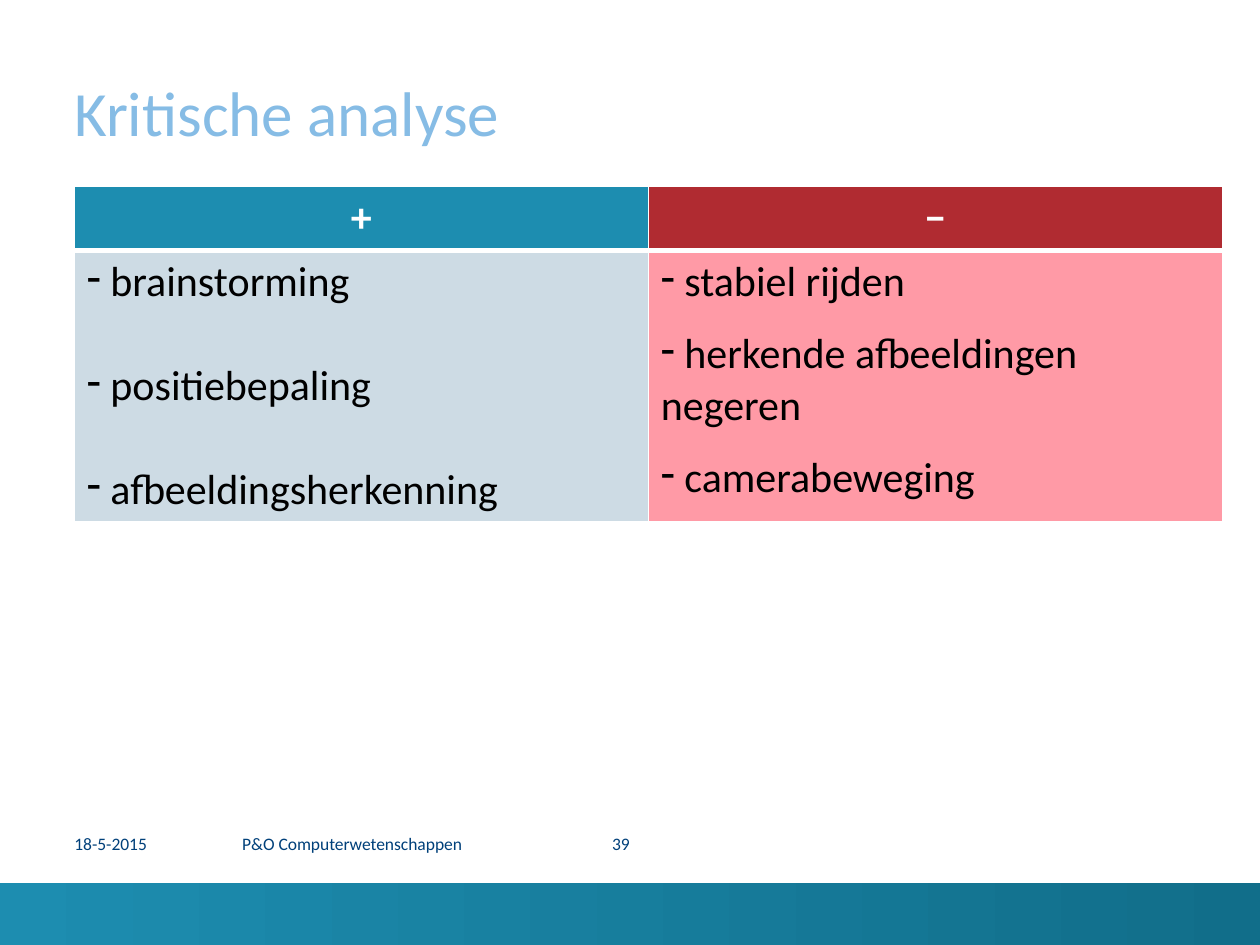
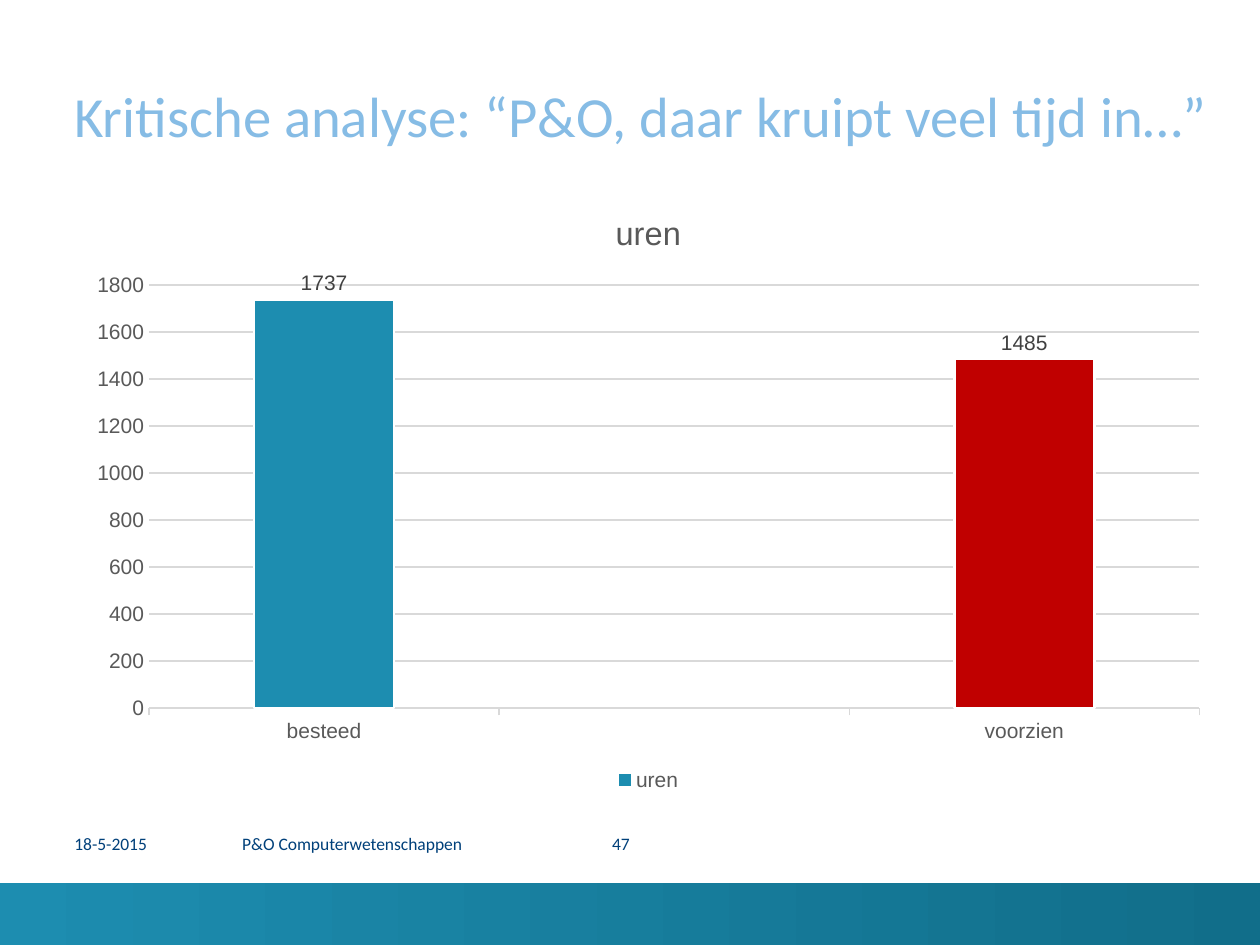
from lxml import etree
from pptx import Presentation
from pptx.chart.data import CategoryChartData
from pptx.dml.color import RGBColor
from pptx.enum import chart as ch, shapes, text
from pptx.oxml.ns import qn
from pptx.util import Pt

# Content
DATE, COURSE = "18-5-2015", "P&O Computerwetenschappen"
ANALYSIS = {"title": "Kritische analyse", "size": 36, "number": 39}
HOURS = {"title": "Kritische analyse: “P&O, daar kruipt veel tijd in…”",
         "size": 32.4, "number": 47}
PROS = ["brainstorming", "positiebepaling", "afbeeldingsherkenning"]
CONS = ["stabiel rijden", "herkende afbeeldingen negeren", "camerabeweging"]
SERIES = "uren"
CATEGORIES = ["besteed", "", "voorzien"]
VALUES = [1737, None, 1485]

# Style
WHITE = RGBColor(0xFF, 0xFF, 0xFF)
BLACK = RGBColor(0, 0, 0)
TEAL = RGBColor(0x1D, 0x8D, 0xB0)
DARK_TEAL = RGBColor(0x11, 0x6E, 0x8A)
SKY = RGBColor(0x86, 0xBC, 0xE5)
NAVY = RGBColor(0x00, 0x40, 0x7A)
BRICK = RGBColor(0xB0, 0x2B, 0x31)
PALE_BLUE = RGBColor(0xCD, 0xDB, 0xE4)
PINK = RGBColor(0xFF, 0x9A, 0xA6)
RED = RGBColor(0xC0, 0, 0)
GREY = RGBColor(0x59, 0x59, 0x59)
DARK_GREY = RGBColor(0x40, 0x40, 0x40)
LIGHT_GREY = RGBColor(0xD9, 0xD9, 0xD9)
BODY_FONT, CHART_FONT = "Calibri", "Arial"

# Columns: heading, its fill, items, their fill, space after each item
COLUMNS = [("+", TEAL, PROS, PALE_BLUE, 30), ("−", BRICK, CONS, PINK, 12)]

# Layout, in points
SLIDE_W, SLIDE_H = 720, 540
LEFT, WIDTH = 42.5, 656
TITLE_TOP, TITLE_H = 14.4, 70.6
CONTENT_TOP, CHART_H = 106.6, 348.5
HEAD_H, BODY_H = 35.5, 155
BAND_TOP = 504.7
FOOTER_TOP, FOOTER_H, FOOTER_GAP = 476, 22.3, 7.2
FOOTER_WIDTHS = [73.4, 156.2, 73.4]
FOOTER_ALIGNS = [text.PP_ALIGN.LEFT, text.PP_ALIGN.CENTER, text.PP_ALIGN.RIGHT]


def set_font(font, size, color, name=BODY_FONT, bold=False):
    font.size, font.name, font.bold = Pt(size), name, bold
    font.color.rgb = color


def plain_frame(sp, words):
    tf = sp.text_frame
    tf.margin_left = tf.margin_right = tf.margin_top = tf.margin_bottom = 0
    tf.word_wrap = True
    tf.auto_size = text.MSO_AUTO_SIZE.NONE
    tf.text = words
    return tf


def add_band(s):
    band = s.shapes.add_shape(shapes.MSO_SHAPE.RECTANGLE, 0, Pt(BAND_TOP),
                              Pt(SLIDE_W), Pt(SLIDE_H - BAND_TOP))
    band.shadow.inherit = False
    band.line.fill.background()
    band.fill.gradient()
    band.fill.gradient_angle = 0
    for stop, color in zip(band.fill.gradient_stops, (TEAL, DARK_TEAL)):
        stop.color.rgb = color


def add_footer(s, number):
    x = LEFT
    for words, width, align in zip((DATE, COURSE, str(number)), FOOTER_WIDTHS, FOOTER_ALIGNS):
        box = s.shapes.add_textbox(Pt(x), Pt(FOOTER_TOP), Pt(width), Pt(FOOTER_H))
        p = plain_frame(box, words).paragraphs[0]
        p.alignment = align
        set_font(p.font, 10, NAVY)
        x += width + FOOTER_GAP


def new_slide(prs, info):
    s = prs.slides.add_slide(prs.slide_layouts[5])
    add_band(s)
    title = s.shapes.title
    title.left, title.top = Pt(LEFT), Pt(TITLE_TOP)
    title.width, title.height = Pt(WIDTH), Pt(TITLE_H)
    tf = plain_frame(title, info["title"])
    tf.vertical_anchor = text.MSO_ANCHOR.BOTTOM
    p = tf.paragraphs[0]
    p.alignment = text.PP_ALIGN.LEFT
    set_font(p.font, info["size"], SKY)
    add_footer(s, info["number"])
    return s


def set_borders(cell, **widths):
    """Give the cell white borders; widths in points by side."""
    tc_pr = cell._tc.get_or_add_tcPr()
    for i, side in enumerate("LRTB"):
        ln = etree.Element(qn("a:ln" + side), w=str(Pt(widths.get(side, 1))))
        fill = etree.SubElement(ln, qn("a:solidFill"))
        etree.SubElement(fill, qn("a:srgbClr"), val=str(WHITE))
        tc_pr.insert(i, ln)


def fill_cell(cell, color, **widths):
    cell.fill.solid()
    cell.fill.fore_color.rgb = color
    set_borders(cell, **widths)


def add_dash(p):
    p_pr = p._p.get_or_add_pPr()
    p_pr.set("marL", "0")
    p_pr.set("indent", "0")
    etree.SubElement(p_pr, qn("a:buChar"), char="-")


def add_analysis_table(s):
    table = s.shapes.add_table(2, len(COLUMNS), Pt(LEFT), Pt(CONTENT_TOP),
                               Pt(WIDTH), Pt(HEAD_H + BODY_H)).table
    table.rows[0].height, table.rows[1].height = Pt(HEAD_H), Pt(BODY_H)
    for col, (heading, head_fill, items, body_fill, gap) in enumerate(COLUMNS):
        head, body = table.cell(0, col), table.cell(1, col)
        fill_cell(head, head_fill, B=3)
        fill_cell(body, body_fill, T=3)
        head.vertical_anchor = text.MSO_ANCHOR.MIDDLE
        head.text = heading
        p = head.text_frame.paragraphs[0]
        p.alignment = text.PP_ALIGN.CENTER
        set_font(p.font, 24, WHITE, bold=True)
        body.text = "\n".join(" " + item for item in items)
        for p in body.text_frame.paragraphs:
            add_dash(p)
            p.space_after = Pt(gap)
            set_font(p.font, 24, BLACK)


def add_hours_chart(s):
    data = CategoryChartData()
    data.categories = CATEGORIES
    data.add_series(SERIES, VALUES)
    chart = s.shapes.add_chart(ch.XL_CHART_TYPE.COLUMN_CLUSTERED, Pt(LEFT), Pt(CONTENT_TOP),
                               Pt(WIDTH), Pt(CHART_H), data).chart
    set_font(chart.font, 10, BLACK, CHART_FONT)

    # Title and legend
    chart.has_title = True
    chart.chart_title.include_in_layout = False
    tf = chart.chart_title.text_frame
    tf.text = SERIES
    set_font(tf.paragraphs[0].font, 18.6, GREY, CHART_FONT)
    chart.has_legend = True
    chart.legend.position = ch.XL_LEGEND_POSITION.BOTTOM
    chart.legend.include_in_layout = False
    set_font(chart.legend.font, 12, GREY, CHART_FONT)

    # Axes
    hours, kinds = chart.value_axis, chart.category_axis
    for axis in (hours, kinds):
        set_font(axis.tick_labels.font, 12, GREY, CHART_FONT)
    hours.minimum_scale, hours.maximum_scale, hours.major_unit = 0, 1800, 200
    hours.major_tick_mark = ch.XL_TICK_MARK.NONE
    hours.format.line.fill.background()
    kinds.major_tick_mark = ch.XL_TICK_MARK.OUTSIDE
    for line in (hours.major_gridlines.format.line, kinds.format.line):
        line.color.rgb, line.width = LIGHT_GREY, Pt(0.75)

    # Columns and their labels
    plot = chart.plots[0]
    plot.gap_width, plot.vary_by_categories = 150, False
    series = plot.series[0]
    series.invert_if_negative = False
    for part, color in ((series, TEAL), (series.points[2], RED)):
        part.format.fill.solid()
        part.format.fill.fore_color.rgb = color
        part.format.line.color.rgb, part.format.line.width = WHITE, Pt(1.5)
    labels = series.data_labels
    labels.show_value = True
    labels.position = ch.XL_LABEL_POSITION.OUTSIDE_END
    set_font(labels.font, 12, DARK_GREY, CHART_FONT)


def main():
    prs = Presentation()
    prs.slide_width, prs.slide_height = Pt(SLIDE_W), Pt(SLIDE_H)
    add_analysis_table(new_slide(prs, ANALYSIS))
    add_hours_chart(new_slide(prs, HOURS))
    prs.save("out.pptx")


if __name__ == "__main__":
    main()
